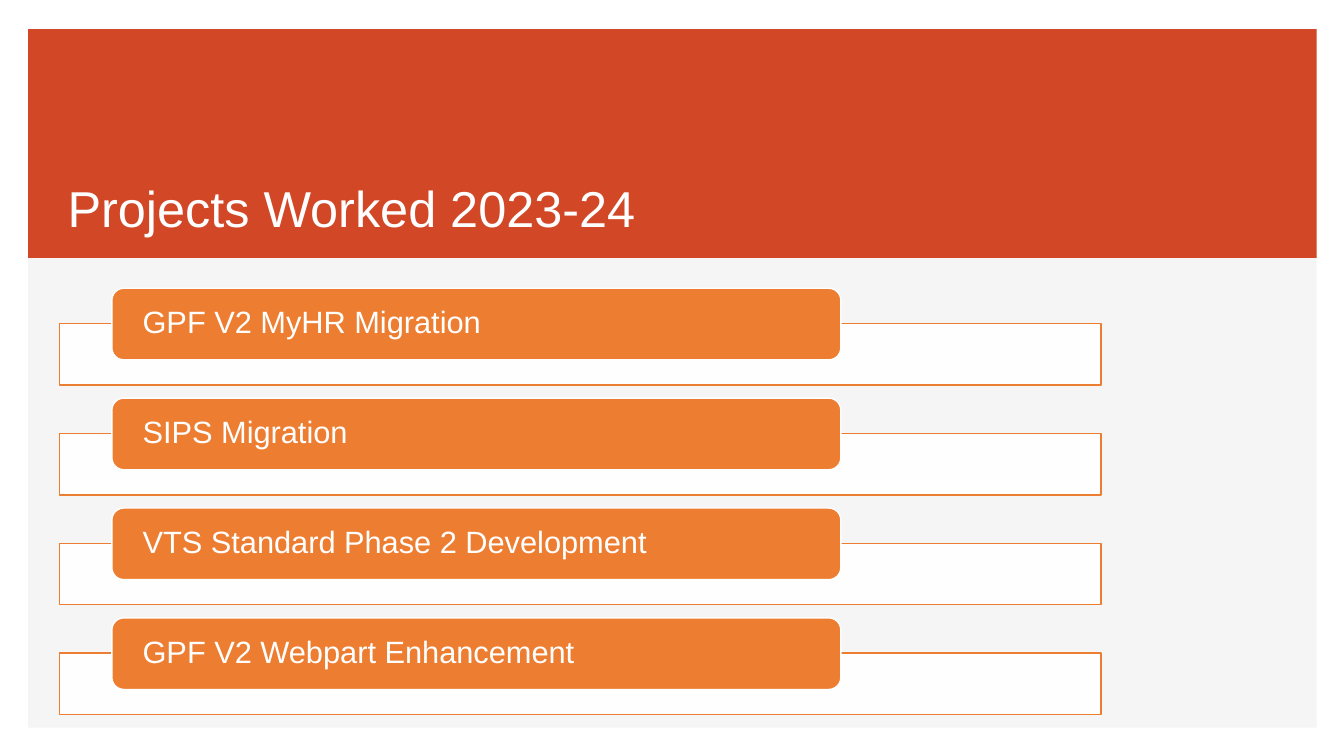
from lxml import etree
from pptx import Presentation
from pptx.dml.color import RGBColor
from pptx.enum.shapes import MSO_SHAPE as Shape
from pptx.enum.text import MSO_ANCHOR as Anchor, MSO_AUTO_SIZE as AutoSize, PP_ALIGN as Align
from pptx.oxml.ns import qn
from pptx.util import Inches, Pt

# Content
TITLE = "Projects Worked 2023-24"
PROJECTS = [
    "GPF V2 MyHR Migration",
    "SIPS Migration",
    "VTS Standard Phase 2 Development",
    "GPF V2 Webpart Enhancement",
]

# Style
FONT = "Arial"
WHITE = RGBColor(0xFF, 0xFF, 0xFF)
PALE_GREY = RGBColor(0xF5, 0xF5, 0xF5)
RED = RGBColor(0xD2, 0x47, 0x26)
ORANGE = RGBColor(0xED, 0x7D, 0x31)

# Layout, in inches
FIRST_TOP = 2.86
ROW_STEP = 1.09
FRAME_DROP = 0.35

deck = Presentation()
deck.slide_width, deck.slide_height = Inches(13.33), Inches(7.5)
page = deck.slides.add_slide(deck.slide_layouts[5])


def add_box(kind, left, top, width, height, fill, line=None):
    box = page.shapes.add_shape(kind, Inches(left), Inches(top), Inches(width), Inches(height))
    box.shadow.inherit = False
    box.fill.solid()
    box.fill.fore_color.rgb = fill
    if line is None:
        box.line.fill.background()
    else:
        box.line.color.rgb = line
        box.line.width = Pt(1)
    return box


def write(frame, text, size, anchor):
    frame.text = text
    frame.word_wrap = True
    frame.auto_size = AutoSize.NONE
    frame.vertical_anchor = anchor
    para = frame.paragraphs[0]
    para.alignment = Align.LEFT
    font = para.runs[0].font
    font.name, font.size, font.color.rgb = FONT, Pt(size), WHITE
    return para


# Background panel and title band, placed behind the title
title = page.shapes.title
for height, color in [(6.93, PALE_GREY), (2.27, RED)]:
    panel = add_box(Shape.RECTANGLE, 0.28, 0.29, 12.78, height, color)
    title.element.addprevious(panel.element)

# Title
title.left, title.top = Inches(0.57), Inches(0.96)
title.width, title.height = Inches(11.5), Inches(1.45)
write(title.text_frame, TITLE, 36, Anchor.BOTTOM)

# Project list: an open frame with a label over its upper edge
for row, project in enumerate(PROJECTS):
    top = FIRST_TOP + row * ROW_STEP
    frame_box = add_box(Shape.RECTANGLE, 0.59, top + FRAME_DROP, 10.33, 0.61, WHITE, ORANGE)
    fill_color = frame_box.element.spPr.find(qn("a:solidFill"))[0]
    etree.SubElement(fill_color, qn("a:alpha"), val="90000")

    label = add_box(Shape.ROUNDED_RECTANGLE, 1.11, top, 7.23, 0.71, ORANGE, WHITE)
    frame = label.text_frame
    frame.margin_left = frame.margin_right = Inches(0.27)
    frame.margin_top = frame.margin_bottom = 0
    para = write(frame, project, 22, Anchor.MIDDLE)
    para.line_spacing = 0.9

deck.save("out.pptx")
